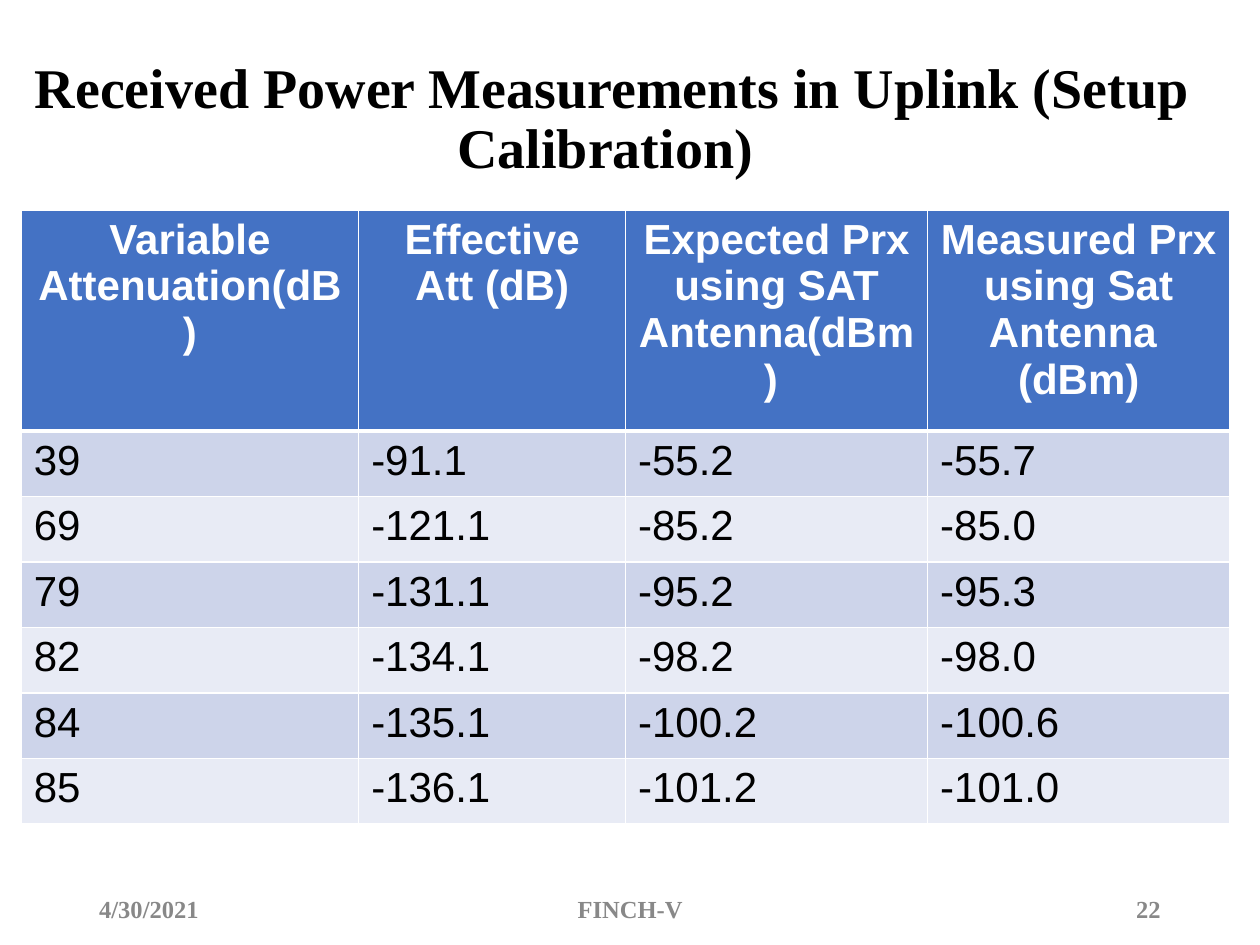
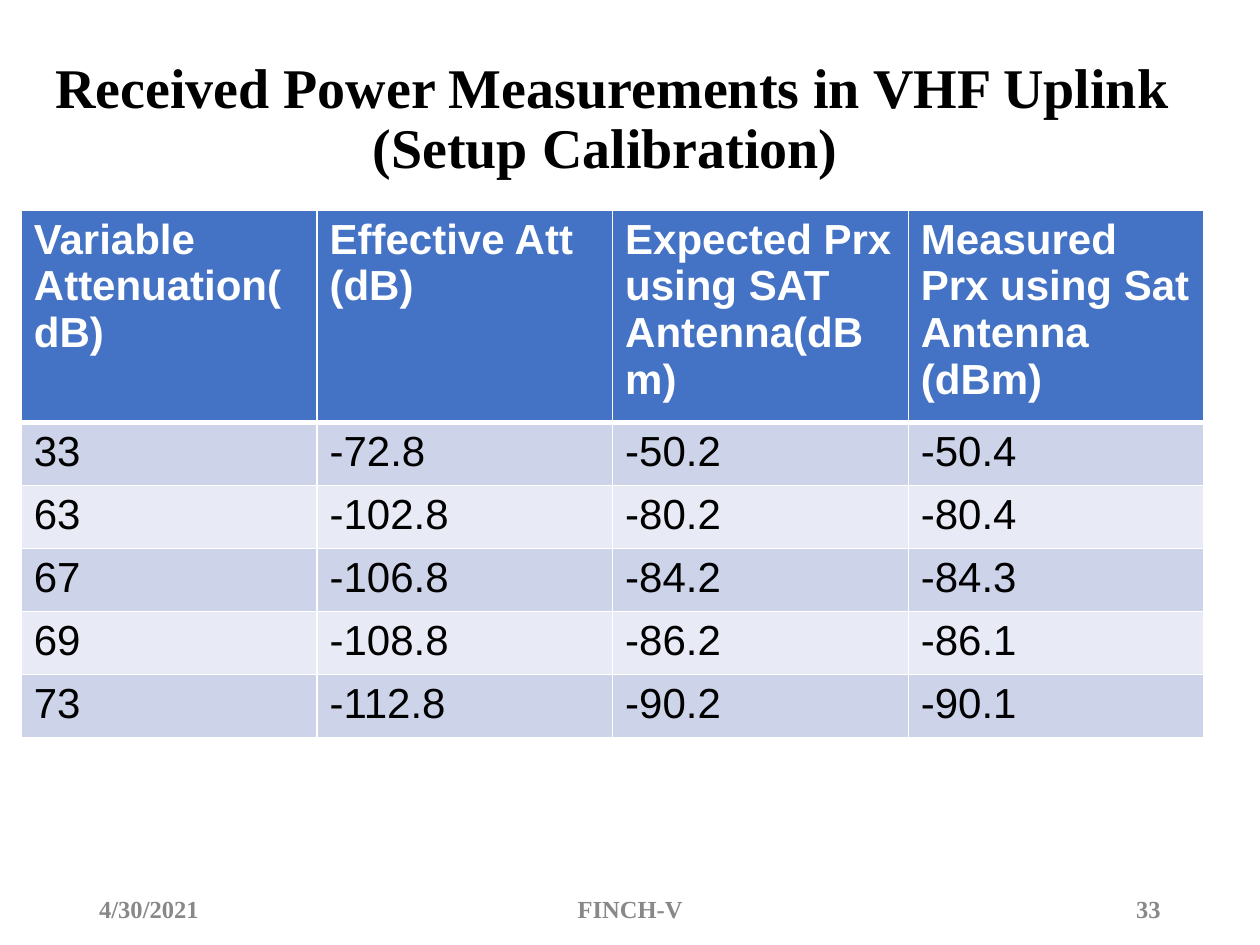
"""Build two slides of received power measurements taken during setup calibration."""
from dataclasses import dataclass

import lxml.etree
import pptx
import pptx.dml.color
import pptx.enum.text
import pptx.oxml.ns
import pptx.util

Cm = pptx.util.Cm
ALIGN = pptx.enum.text.PP_ALIGN
MIDDLE = pptx.enum.text.MSO_ANCHOR.MIDDLE


@dataclass(frozen=True)
class Theme:
    heading_font: str = "Times New Roman"
    table_font: str = "Arial"
    title_size: int = 32
    table_size: int = 24
    footer_size: int = 14
    ink: str = "000000"
    white: str = "FFFFFF"
    footer_grey: str = "888888"
    header_blue: str = "4472C4"
    bands: tuple = ("CDD4EA", "E8EBF5")
    rule: int = 1
    header_rule: int = 3


theme = Theme()


def format_text(frame, font, size, color, bold, align):
    """Apply one font and alignment to every paragraph of a text frame."""
    for paragraph in frame.paragraphs:
        paragraph.alignment = align
        for run in paragraph.runs:
            run.font.name = font
            run.font.size = pptx.util.Pt(size)
            run.font.bold = bold
            run.font.color.rgb = pptx.dml.color.RGBColor.from_string(color)


def draw_borders(cell, top, bottom):
    """Outline a cell in white, with the top and bottom widths in points."""
    qn = pptx.oxml.ns.qn
    properties = cell._tc.get_or_add_tcPr()
    widths = {"a:lnL": theme.rule, "a:lnR": theme.rule, "a:lnT": top, "a:lnB": bottom}
    for position, (side, width) in enumerate(widths.items()):
        line = lxml.etree.Element(qn(side), w=str(pptx.util.Pt(width)))
        fill = lxml.etree.SubElement(line, qn("a:solidFill"))
        lxml.etree.SubElement(fill, qn("a:srgbClr"), val=theme.white)
        properties.insert(position, line)


headers = (
    "Variable Attenuation(dB)",
    "Effective Att (dB)",
    "Expected Prx using SAT Antenna(dBm) ",
    "Measured Prx using Sat Antenna \n(dBm)",
)

calibrations = [
    {
        "title": "Received Power Measurements in Uplink (Setup Calibration) ",
        "number": "22",
        "header_align": ALIGN.CENTER,
        "column_widths": (6.8, 5.38, 6.09, 6.09),
        "header_height": 4.46,
        "row_height": 1.32,
        "readings": [
            ("39", "-91.1", "-55.2", "-55.7"),
            ("69", "-121.1", "-85.2", "-85.0"),
            ("79", "-131.1", "-95.2", "-95.3"),
            ("82", "-134.1", "-98.2", "-98.0"),
            ("84", "-135.1", "-100.2", "-100.6"),
            ("85", "-136.1", "-101.2", "-101.0"),
        ],
    },
    {
        "title": "Received Power Measurements in VHF Uplink (Setup Calibration) ",
        "number": "33",
        "header_align": ALIGN.LEFT,
        "column_widths": (5.96,) * 4,
        "header_height": 4.29,
        "row_height": 1.27,
        "readings": [
            ("33", "-72.8", "-50.2", "-50.4"),
            ("63", "-102.8", "-80.2", "-80.4"),
            ("67", "-106.8", "-84.2", "-84.3"),
            ("69", "-108.8", "-86.2", "-86.1"),
            ("73", "-112.8", "-90.2", "-90.1"),
        ],
    },
]

deck = pptx.Presentation()
deck.slide_width, deck.slide_height = Cm(25.4), Cm(19.05)
title_only = deck.slide_layouts[5]

for calibration in calibrations:
    slide = deck.slides.add_slide(title_only)

    heading = slide.shapes.title
    heading.left, heading.top = Cm(0.43), Cm(1.27)
    heading.width, heading.height = Cm(23.83), Cm(2.31)
    heading.text_frame.text = calibration["title"]
    heading.text_frame.auto_size = pptx.enum.text.MSO_AUTO_SIZE.NONE
    heading.text_frame.vertical_anchor = MIDDLE
    heading.text_frame.paragraphs[0].line_spacing = 0.9
    format_text(heading.text_frame, theme.heading_font, theme.title_size,
                theme.ink, True, ALIGN.CENTER)

    rows = [headers] + calibration["readings"]
    widths = calibration["column_widths"]
    heights = [calibration["header_height"]]
    heights += [calibration["row_height"]] * len(calibration["readings"])
    measurements = slide.shapes.add_table(
        len(rows), len(headers), Cm(0.43), Cm(4.23), Cm(sum(widths)), Cm(sum(heights))
    ).table
    for column, width in zip(measurements.columns, widths):
        column.width = Cm(width)

    for row_index, values in enumerate(rows):
        measurements.rows[row_index].height = Cm(heights[row_index])
        is_header = row_index == 0
        band = theme.header_blue if is_header else theme.bands[(row_index - 1) % 2]
        color = theme.white if is_header else theme.ink
        align = calibration["header_align"] if is_header else ALIGN.LEFT
        top = theme.header_rule if row_index == 1 else theme.rule
        bottom = theme.header_rule if is_header else theme.rule
        for column_index, value in enumerate(values):
            cell = measurements.cell(row_index, column_index)
            cell.text_frame.text = value
            cell.fill.solid()
            cell.fill.fore_color.rgb = pptx.dml.color.RGBColor.from_string(band)
            format_text(cell.text_frame, theme.table_font, theme.table_size,
                        color, is_header, align)
            draw_borders(cell, top, bottom)

    footers = [
        ("4/30/2021", 1.75, 5.72, ALIGN.LEFT),
        ("FINCH-V", 8.41, 8.59, ALIGN.CENTER),
        (calibration["number"], 17.93, 5.72, ALIGN.RIGHT),
    ]
    for wording, left, width, align in footers:
        footer = slide.shapes.add_textbox(Cm(left), Cm(17.81), Cm(width), Cm(1.01))
        footer.text_frame.word_wrap = True
        footer.text_frame.vertical_anchor = MIDDLE
        footer.text_frame.text = wording
        format_text(footer.text_frame, theme.heading_font, theme.footer_size,
                    theme.footer_grey, True, align)

deck.save("out.pptx")
